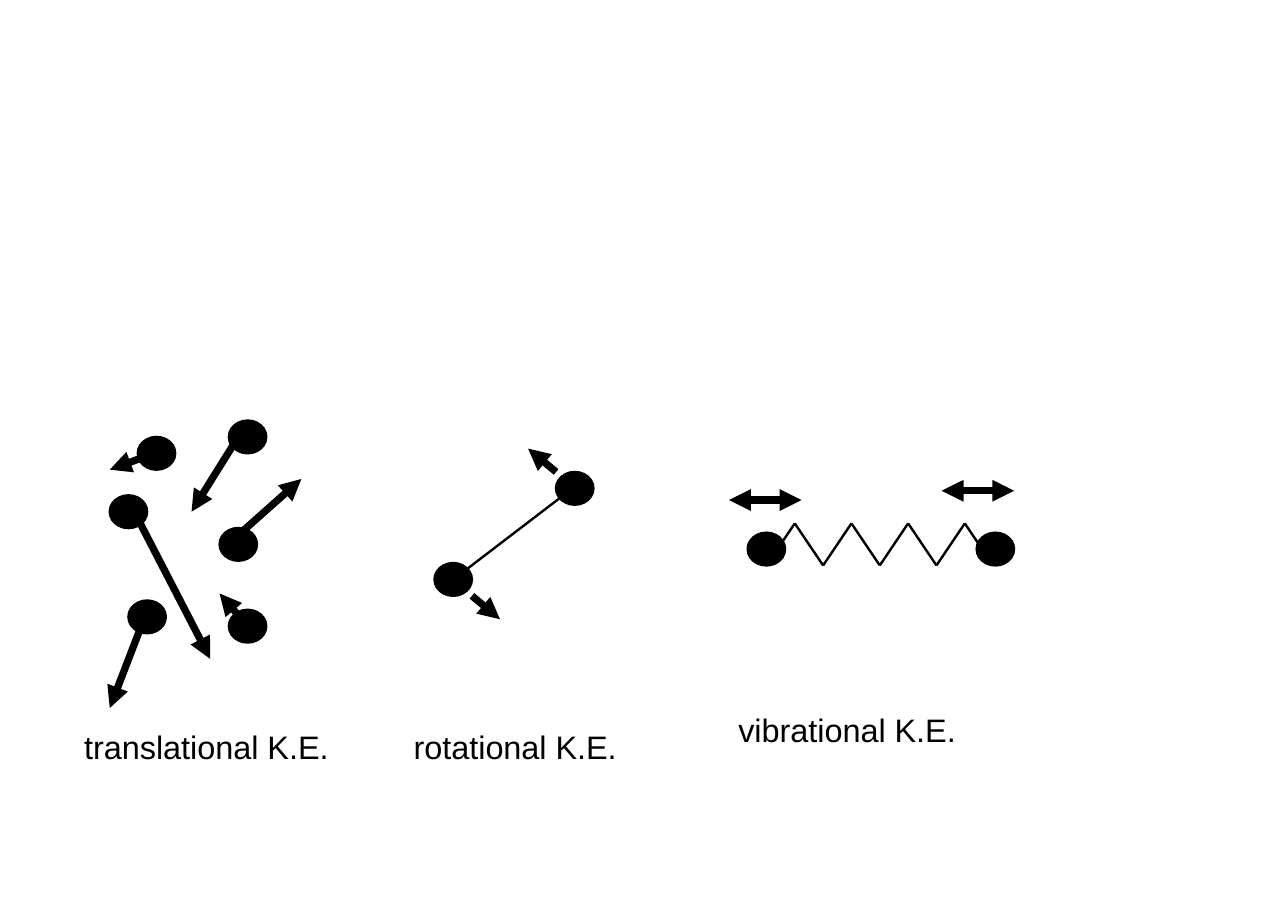
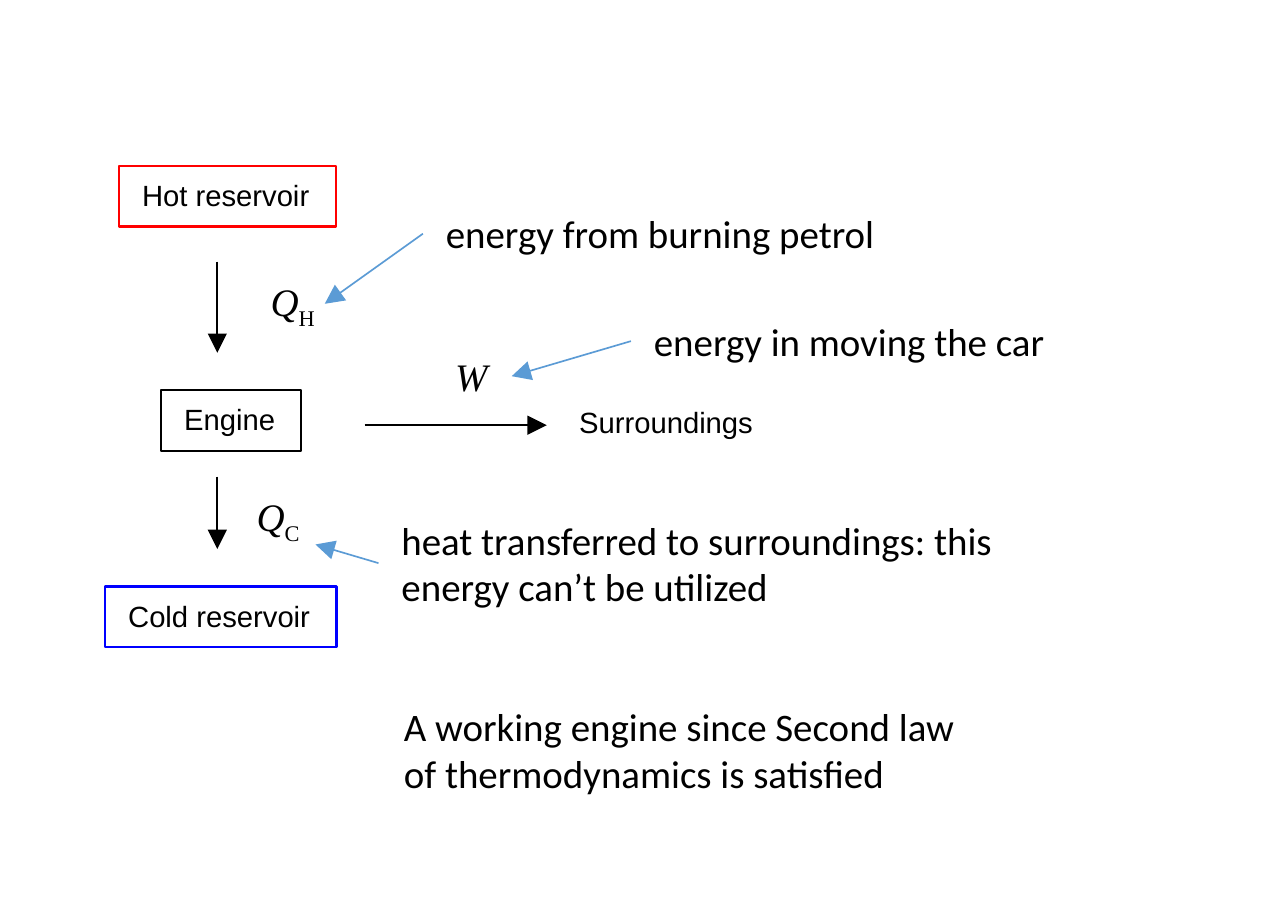
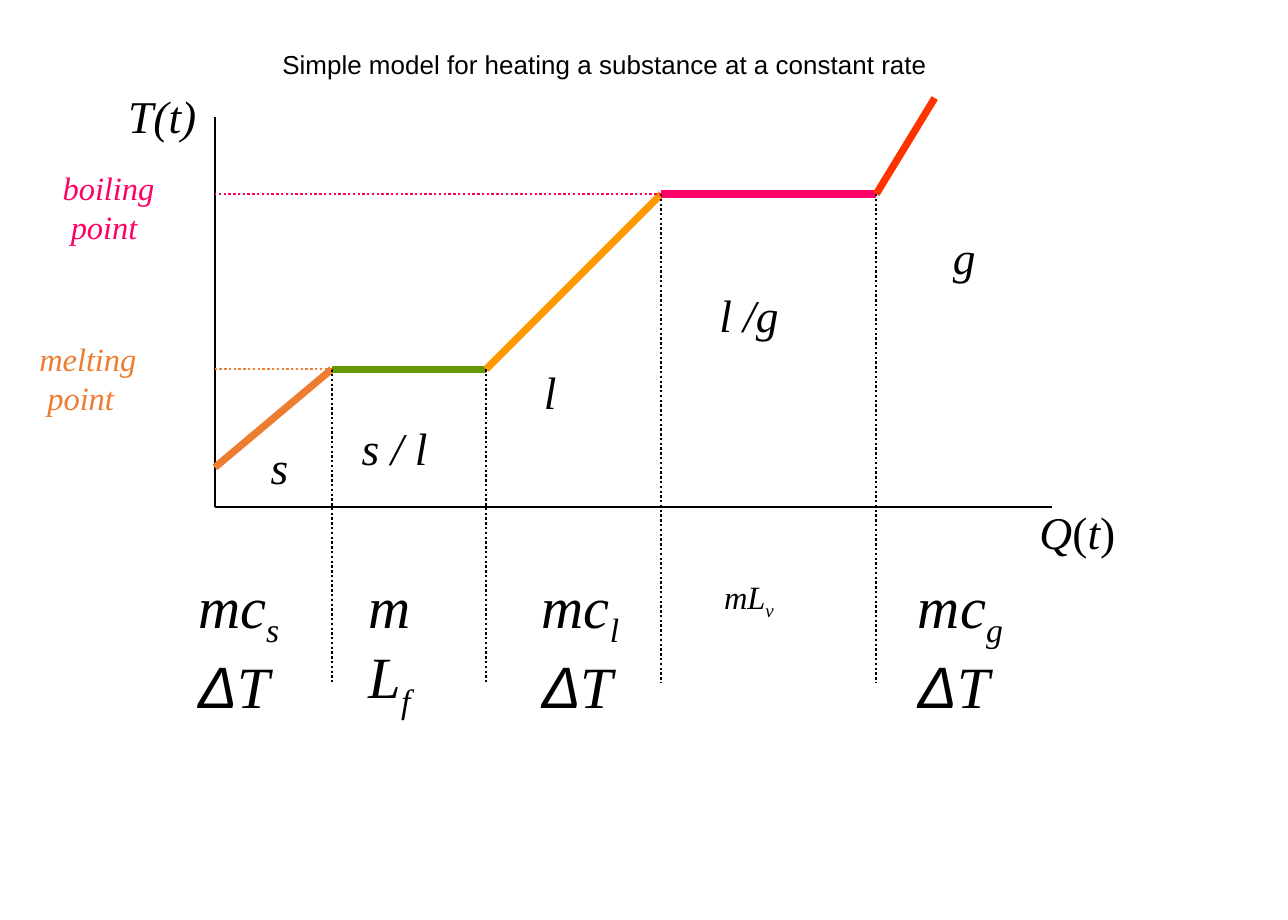
from itertools import pairwise

from lxml import etree
from pptx import Presentation
from pptx.dml.color import RGBColor
from pptx.enum.dml import MSO_LINE
from pptx.enum.shapes import MSO_CONNECTOR, MSO_SHAPE
from pptx.enum.text import MSO_ANCHOR, MSO_AUTO_SIZE, PP_ALIGN
from pptx.oxml.ns import qn
from pptx.util import Inches, Pt

STRAIGHT = MSO_CONNECTOR.STRAIGHT
OVAL, RECT = MSO_SHAPE.OVAL, MSO_SHAPE.RECTANGLE
DOTTED = MSO_LINE.ROUND_DOT
GROW = MSO_AUTO_SIZE.SHAPE_TO_FIT_TEXT
TOP, LEFT = MSO_ANCHOR.TOP, PP_ALIGN.LEFT

BLACK = RGBColor(0x00, 0x00, 0x00)
RED = RGBColor(0xFF, 0x00, 0x00)
BLUE = RGBColor(0x00, 0x00, 0xFF)
SKY = RGBColor(0x5B, 0x9B, 0xD5)
ORANGE = RGBColor(0xED, 0x7D, 0x31)
GREEN = RGBColor(0x66, 0x99, 0x00)
AMBER = RGBColor(0xFF, 0x99, 0x00)
PINK = RGBColor(0xFF, 0x00, 0x66)
SCARLET = RGBColor(0xFF, 0x33, 0x00)

SANS, BODY, MATH = "Arial", "Calibri", "Times New Roman"
CM_PER_INCH = 2.54
SLIDE_W, SLIDE_H = Inches(14 / CM_PER_INCH), Inches(10 / CM_PER_INCH)
THIN, THICK = 0.75, 2.25
BALL_W, BALL_H = 0.16, 0.14


def write(sp, paragraphs, size, font, color=BLACK, wrap=False, inset=(0.1, 0.05)):
    tf = sp.text_frame
    tf.word_wrap = wrap
    tf.auto_size = GROW
    tf.vertical_anchor = TOP
    tf.margin_left = tf.margin_right = Inches(inset[0])
    tf.margin_top = tf.margin_bottom = Inches(inset[1])
    for i, runs in enumerate(paragraphs):
        p = tf.add_paragraph() if i else tf.paragraphs[0]
        p.alignment = LEFT
        p.font.size, p.font.name = Pt(size), font
        p.font.color.rgb = color
        p.font.italic = font == MATH
        for text, style in runs:
            r = p.add_run()
            r.text = text
            if "upright" in style:
                r.font.italic = False
            if "sub" in style:
                r.font._element.set("baseline", "-25000")
            if "sans" in style:
                r.font.name = SANS


def label(s, x, y, w, h, content, size, font, **options):
    sp = s.shapes.add_textbox(Inches(x), Inches(y), Inches(w), Inches(h))
    paragraphs = [[(content, "")]] if isinstance(content, str) else content
    write(sp, paragraphs, size, font, **options)


def line(s, start, end, color=BLACK, width=THIN, head=False, tail=False, dash=None):
    c = s.shapes.add_connector(STRAIGHT, *map(Inches, (*start, *end)))
    c.line.color.rgb = color
    c.line.width = Pt(width)
    if dash:
        c.line.dash_style = dash
    ln = c.line._get_or_add_ln()
    for tag, wanted in (("a:headEnd", head), ("a:tailEnd", tail)):
        if wanted:
            etree.SubElement(ln, qn(tag)).set("type", "triangle")
    etree.SubElement(c._element.spPr, qn("a:effectLst"))


def ball(s, x, y):
    sp = s.shapes.add_shape(OVAL, *map(Inches, (x, y, BALL_W, BALL_H)))
    sp.shadow.inherit = False
    sp.fill.solid()
    sp.fill.fore_color.rgb = BLACK
    sp.line.color.rgb = BLACK
    sp.line.width = Pt(THIN)


def frame(s, x, y, w, text, color):
    sp = s.shapes.add_shape(RECT, *map(Inches, (x, y, w, 0.26)))
    sp.shadow.inherit = False
    sp.fill.background()
    sp.line.color.rgb = color
    sp.line.width = Pt(THIN)
    write(sp, [[(text, "")]], 9, SANS)


def caption(s, x, y, w, text):
    label(s, x, y, w, 0.22, text, 10, SANS, inset=(0.05, 0.02))


def translational(s, x, y):
    caption(s, x, y + 1.29, 1.15, "translational K.E.")
    molecules = [
        ((0.28, 0.07), (0.35, 0.14), (0.16, 0.21)),
        ((0.67, 0), (0.71, 0.07), (0.51, 0.39)),
        ((0.67, 0.81), (0.75, 0.88), (0.63, 0.74)),
        ((0.24, 0.77), (0.31, 0.84), (0.16, 1.23)),
        ((0.16, 0.32), (0.28, 0.42), (0.59, 1.02)),
        ((0.63, 0.46), (0.71, 0.49), (0.98, 0.25)),
    ]
    for (bx, by), (x1, y1), (x2, y2) in molecules:
        ball(s, x + bx, y + by)
        line(s, (x + x1, y + y1), (x + x2, y + y2), width=THICK, tail=True)


def rotational(s, x, y):
    ball(s, x + 0.14, y + 0.49)
    ball(s, x + 0.66, y + 0.1)
    line(s, (x + 0.73, y + 0.17), (x + 0.22, y + 0.56))
    line(s, (x + 0.3, y + 0.63), (x + 0.42, y + 0.73), width=THICK, tail=True)
    line(s, (x + 0.66, y + 0.1), (x + 0.54, y), width=THICK, tail=True)
    caption(s, x, y + 1.17, 1.01, "rotational K.E.")


def vibrational(s, x, y):
    for bx in (0.09, 1.07):
        ball(s, x + bx, y + 0.18)
    step = 0.97 / 8
    spring = [(x + 0.17 + i * step, y + (0.14 if i % 2 else 0.32)) for i in range(9)]
    for a, b in pairwise(spring):
        line(s, a, b)
    for ax, ay in ((0.01, 0.04), (0.92, 0)):
        line(s, (x + ax, y + ay), (x + ax + 0.31, y + ay),
             width=THICK, head=True, tail=True)
    caption(s, x, y + 0.92, 1.07, "vibrational K.E.")


def engine_cycle(s, x, y):
    frame(s, x + 0.06, y, 0.93, "Hot reservoir", RED)
    frame(s, x, y + 1.8, 0.99, "Cold reservoir", BLUE)
    frame(s, x + 0.24, y + 0.96, 0.6, "Engine", BLACK)
    label(s, x + 1.93, y + 0.97, 0.95, 0.25, "Surroundings", 9, SANS)
    flows = [((0.48, 0.41), (0.48, 0.8)), ((0.48, 1.33), (0.48, 1.64)),
             ((1.11, 1.11), (1.89, 1.11))]
    for (x1, y1), (x2, y2) in flows:
        line(s, (x + x1, y + y1), (x + x2, y + y2), tail=True)
    symbols = [(0.61, 0.43, 0.4, [("Q", ""), ("H", "upright sub")]),
               (0.55, 1.35, 0.4, [("Q", ""), ("C", "upright sub")]),
               (1.4, 0.75, 0.34, [("W", "")])]
    for sx, sy, w, runs in symbols:
        label(s, x + sx, y + sy, w, 0.3, [runs], 12, MATH)


def engine_notes(s, x, y):
    notes = [
        (0.19, 0, 2.05, 0.3, "energy from burning petrol", False, (-0.42, 0.3)),
        (1.08, 0.46, 1.89, 0.3, "energy in moving the car", True, (-0.51, 0.15)),
        (0, 1.31, 3.14, 0.5,
         "heat transferred to surroundings: this energy can’t be utilized",
         True, (-0.27, -0.08)),
        (0.01, 2.11, 2.62, 0.5,
         "A working engine since Second law of thermodynamics is satisfied",
         True, None),
    ]
    for nx, ny, w, h, text, wrap, reach in notes:
        label(s, x + nx, y + ny, w, h, text, 12, BODY, wrap=wrap)
        if reach:
            start = (x + nx, y + ny + h / 2)
            end = (start[0] + reach[0], start[1] + reach[1])
            line(s, start, end, SKY, 0.5, tail=True)


def heating_curve(s, x, y):
    axis_y, melt_y, boil_y, drop_y = y + 1.75, y + 1.16, y + 0.41, y + 2.5
    line(s, (x, y + 0.08), (x, axis_y))
    line(s, (x, axis_y), (x + 3.58, axis_y))
    curve = [(x, y + 1.58), (x + 0.5, melt_y), (x + 1.16, melt_y),
             (x + 1.91, boil_y), (x + 2.83, boil_y), (x + 3.08, y)]
    for (a, b), color in zip(pairwise(curve), (ORANGE, GREEN, AMBER, PINK, SCARLET)):
        line(s, a, b, color, THICK)
    for px, py in curve[1:-1]:
        line(s, (px, py), (px, drop_y), dash=DOTTED)
    for (px, py), color in ((curve[1], ORANGE), (curve[3], PINK)):
        line(s, (px, py), (x, py), color, dash=DOTTED)

    label(s, x + 3.43, y + 1.69, 0.56, 0.33,
          [[("Q", ""), ("(", "upright"), ("t", ""), (")", "upright")]], 14, MATH)
    label(s, x - 0.47, y - 0.09, 0.52, 0.33, "T(t)", 14, MATH, wrap=True)
    for lx, ly, w, name, color in ((-0.85, 0.98, 0.62, "melting", ORANGE),
                                   (-0.75, 0.25, 0.59, "boiling", PINK)):
        label(s, x + lx, y + ly, w, 0.43, [[(name, "")], [(" point", "")]],
              10, MATH, color=color)
    phases = [(0.14, 1.41, 0.28, "s"), (0.53, 1.33, 0.67, "s / l"),
              (1.31, 1.09, 0.26, "l"), (2.06, 0.76, 0.5, "l /g"),
              (3.06, 0.51, 0.3, "g")]
    for px, py, w, text in phases:
        label(s, x + px, y + py, w, 0.33, text, 14, MATH)


def heat_terms(s, x, y):
    for tx, w, phase in ((0, 0.63, "s"), (1.47, 0.62, "l"), (3.08, 0.65, "g")):
        runs = [("mc", ""), (phase, "sub"), ("Δ", "sans"), ("T", "")]
        label(s, x + tx, y, w, 0.3, [runs], 18, MATH, wrap=True)
    label(s, x + 0.73, y, 0.44, 0.3, [[("mL", ""), ("f", "sub")]], 18, MATH, wrap=True)
    label(s, x + 2.25, y + 0.03, 0.42, 0.27, [[("mL", ""), ("v", "sub")]], 10, MATH)


def kinetic_slide(s):
    translational(s, 0.31, 1.8)
    rotational(s, 1.72, 1.92)
    vibrational(s, 3.11, 2.1)


def engine_slide(s):
    engine_cycle(s, 0.45, 0.71)
    engine_notes(s, 1.62, 0.85)


def heating_slide(s):
    heating_curve(s, 0.92, 0.42)
    heat_terms(s, 0.75, 2.39)
    label(s, 1.11, 0.16, 2.97, 0.23,
          "Simple model for heating a substance at a constant rate", 8, SANS)


def main():
    prs = Presentation()
    prs.slide_width, prs.slide_height = SLIDE_W, SLIDE_H
    for build in (kinetic_slide, engine_slide, heating_slide):
        build(prs.slides.add_slide(prs.slide_layouts[6]))
    prs.save("out.pptx")


if __name__ == "__main__":
    main()
